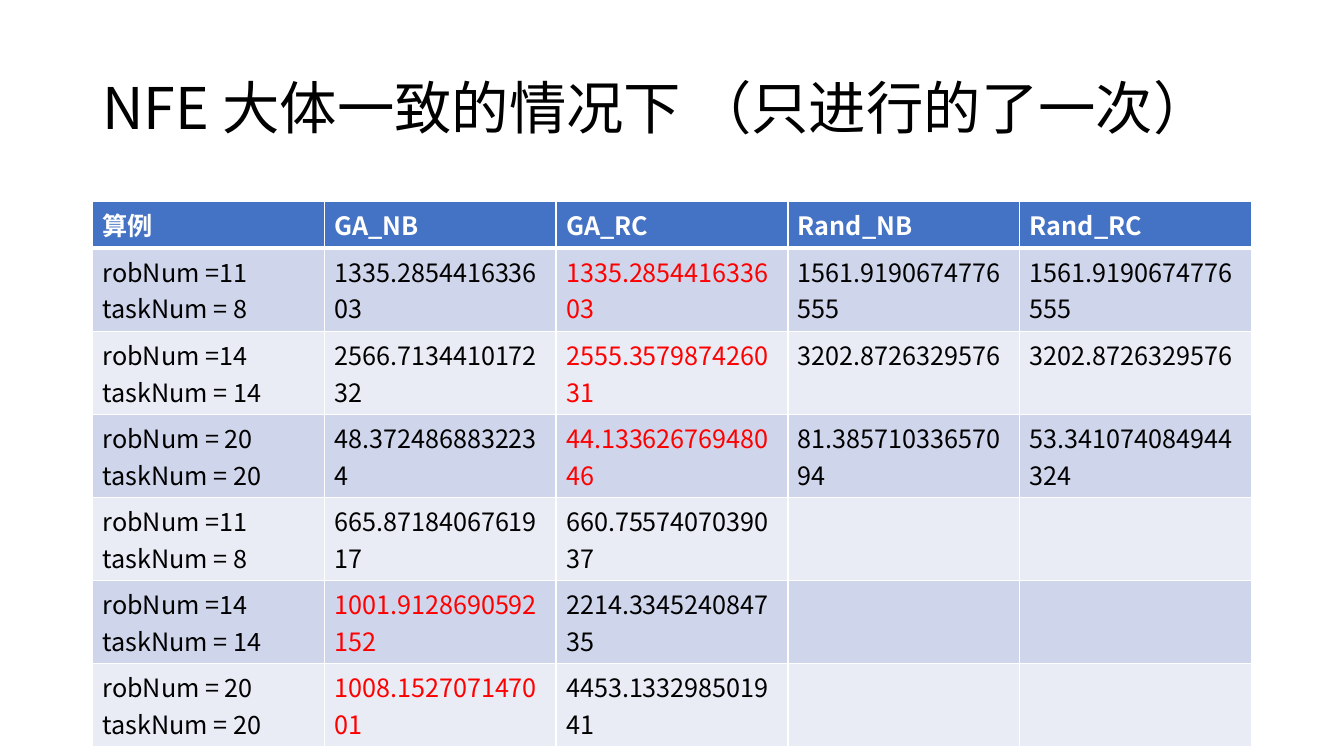
from lxml.etree import SubElement
from pptx import Presentation
from pptx.dml.color import RGBColor
from pptx.enum.text import MSO_ANCHOR as Anchor, MSO_AUTO_SIZE as AutoSize
from pptx.oxml import parse_xml
from pptx.oxml.ns import nsdecls, qn
from pptx.util import Cm, Pt

FONT = "Noto Sans CJK SC"
BLACK, WHITE, RED = "000000", "FFFFFF", "FF0000"
HEADER_FILL = "4472C4"
BAND_FILLS = ("CFD5EA", "E9EBF5")

HEADINGS = ["算例", "GA_NB", "GA_RC", "Rand_NB", "Rand_RC"]
RESULTS = [
    ["1335.285441633603", "1335.285441633603", "1561.9190674776555", "1561.9190674776555"],
    ["2566.713441017232", "2555.357987426031", "3202.8726329576", "3202.8726329576"],
    ["48.3724868832234", "44.13362676948046", "81.38571033657094", "53.341074084944324"],
    ["665.8718406761917", "660.7557407039037", "", ""],
    ["1001.9128690592152", "2214.334524084735", "", ""],
    ["1008.152707147001", "4453.133298501941", "", ""],
]
CASES = ["robNum =11\ntaskNum = 8", "robNum =14\ntaskNum = 14", "robNum = 20\ntaskNum = 20"] * 2
BEST_CELLS = {(1, 2), (2, 2), (3, 2), (5, 1), (6, 1)}


def color(value):
    return RGBColor.from_string(value)


def write(frame, text, size=18, ink=BLACK, bold=False, spacing=None):
    frame.word_wrap = True
    for index, line in enumerate(text.split("\n")):
        para = frame.paragraphs[0] if index == 0 else frame.add_paragraph()
        para.line_spacing = spacing
        if not line:
            para.font.size = Pt(size)
            continue
        span = para.add_run()
        span.text = line
        span.font.size = Pt(size)
        span.font.bold = bold
        span.font.color.rgb = color(ink)
        span.font.name = FONT
        SubElement(span.font._element, qn("a:ea"), typeface=FONT)


def set_borders(cell, **widths):
    properties = cell._tc.get_or_add_tcPr()
    for index, side in enumerate("LRTB"):
        width = Pt(widths.get(side, 1))
        properties.insert(index, parse_xml(
            f'<a:ln{side} {nsdecls("a")} w="{width}"><a:solidFill>'
            f'<a:srgbClr val="{WHITE}"/></a:solidFill></a:ln{side}>'))


class SlideBuilder:
    def __init__(self, deck):
        self.page = deck.slides.add_slide(deck.slide_layouts[6])
        self.page.background.fill.solid()
        self.page.background.fill.fore_color.rgb = color(WHITE)
        self.left, self.width = Cm(2.33), Cm(29.21)

    def title(self, text, top, height):
        box = self.page.shapes.add_textbox(self.left, top, self.width, height)
        box.text_frame.vertical_anchor = Anchor.MIDDLE
        write(box.text_frame, text, size=44, spacing=0.9)
        box.text_frame.auto_size = AutoSize.TEXT_TO_FIT_SHAPE

    def table(self, rows, top, header_height, row_height, highlights):
        height = header_height + row_height * (len(rows) - 1)
        grid = self.page.shapes.add_table(
            len(rows), len(rows[0]), self.left, top, self.width, height).table
        for r, values in enumerate(rows):
            header = r == 0
            grid.rows[r].height = header_height if header else row_height
            for c, value in enumerate(values):
                cell = grid.cell(r, c)
                cell.fill.solid()
                cell.fill.fore_color.rgb = color(HEADER_FILL if header else BAND_FILLS[(r - 1) % 2])
                set_borders(cell, T=3 if r == 1 else 1, B=3 if header else 1)
                ink = WHITE if header else RED if (r, c) in highlights else BLACK
                write(cell.text_frame, value, ink=ink, bold=header)


deck = Presentation()
deck.slide_width, deck.slide_height = Cm(33.87), Cm(19.05)
slide = SlideBuilder(deck)
slide.title("NFE 大体一致的情况下 （只进行的了一次）", Cm(1.01), Cm(3.68))
rows = [HEADINGS] + [[case, *values] for case, values in zip(CASES, RESULTS)]
slide.table(rows, Cm(5.08), Cm(1.17), Cm(2.09), BEST_CELLS)
deck.save("out.pptx")
